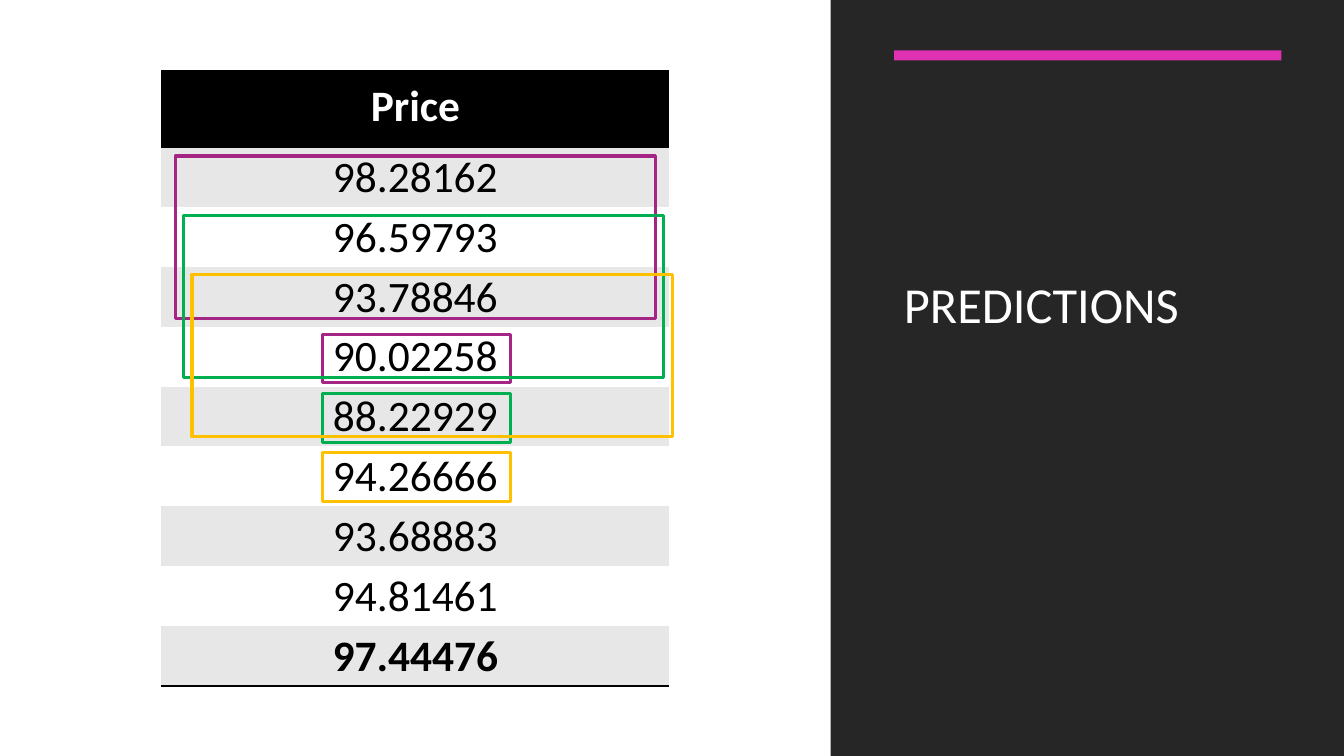
from collections import namedtuple
from dataclasses import dataclass

from lxml.etree import SubElement
from pptx import Presentation
from pptx.dml.color import RGBColor
from pptx.enum.shapes import MSO_SHAPE
from pptx.enum.text import MSO_ANCHOR, PP_ALIGN
from pptx.oxml.ns import qn
from pptx.util import Pt

Box = namedtuple("Box", "left top width height")


@dataclass(frozen=True)
class Theme:
    font: str = "Calibri"
    title_size: float = 36
    table_size: float = 31
    border: float = 2
    outline: float = 2.25
    white: str = "FFFFFF"
    black: str = "000000"
    panel: str = "262626"
    accent: str = "DE32B3"
    band: str = "E7E7E7"
    windows: tuple = ("A42584", "00B050", "FFC000")


THEME = Theme()
PRICES = ("98.28162", "96.59793", "93.78846", "90.02258", "88.22929",
          "94.26666", "93.68883", "94.81461", "97.44476")
NO_STYLE = "{2D5ABB26-0587-4C30-8999-92F81FD0307C}"
HEADER_HEIGHT = 54


def apply(target, values):
    for name, value in values.items():
        setattr(target, name, value)


def write(text_frame, text, size, color, bold=False, align=PP_ALIGN.LEFT):
    paragraph = text_frame.paragraphs[0]
    paragraph.alignment = align
    run = paragraph.add_run()
    run.text = text
    apply(run.font, {"name": THEME.font, "size": Pt(size), "bold": bold})
    run.font.color.rgb = RGBColor.from_string(color)


def add_rectangle(slide, box, fill=None, line=None):
    shape = slide.shapes.add_shape(MSO_SHAPE.RECTANGLE, *map(Pt, box))
    shape.shadow.inherit = False
    if fill:
        shape.fill.solid()
        shape.fill.fore_color.rgb = RGBColor.from_string(fill)
    else:
        shape.fill.background()
    if line:
        shape.line.width = Pt(THEME.outline)
        shape.line.color.rgb = RGBColor.from_string(line)
    else:
        shape.line.fill.background()


def add_borders(cell, *sides):
    properties = cell._tc.get_or_add_tcPr()
    for index, side in enumerate(sides):
        line = SubElement(properties, qn(f"a:ln{side}"), w=str(Pt(THEME.border)))
        fill = SubElement(line, qn("a:solidFill"))
        SubElement(fill, qn("a:srgbClr"), val=THEME.black)
        properties.insert(index, line)  # borders come before the fill


def add_title_panel(slide, box):
    add_rectangle(slide, box, fill=THEME.panel)
    left, width = box.left + 45.3, box.width - 90
    # Title
    title = slide.shapes.add_textbox(Pt(left), Pt(box.top + 67.7), Pt(width), Pt(297.4))
    apply(title.text_frame, {"word_wrap": True, "vertical_anchor": MSO_ANCHOR.MIDDLE})
    write(title.text_frame, "PREDICTIONS", THEME.title_size, THEME.white)
    # Accent bar
    add_rectangle(slide, Box(left, box.top + 36, width, 7.2), fill=THEME.accent)


def add_price_table(slide, box):
    frame = slide.shapes.add_table(len(PRICES) + 1, 1, *map(Pt, box))
    table = frame.table
    table._tbl.tblPr.find(qn("a:tableStyleId")).text = NO_STYLE
    row_height = (box.height - HEADER_HEIGHT) / len(PRICES)
    last = len(PRICES)
    for index, text in enumerate(("Price", *PRICES)):
        header = index == 0
        table.rows[index].height = Pt(HEADER_HEIGHT if header else row_height)
        cell = table.cell(index, 0)
        side, top, bottom = (12.2, 6.5, 6.5) if header else (0.7, 0.7, 0)
        apply(cell, {
            "margin_left": Pt(side), "margin_right": Pt(side),
            "margin_top": Pt(top), "margin_bottom": Pt(bottom),
            "vertical_anchor": MSO_ANCHOR.TOP if header else MSO_ANCHOR.MIDDLE,
        })
        cell.fill.solid()
        fill = THEME.black if header else THEME.band if index % 2 else THEME.white
        cell.fill.fore_color.rgb = RGBColor.from_string(fill)
        write(cell.text_frame, text, THEME.table_size,
              THEME.white if header else THEME.black,
              bold=index in (0, last), align=PP_ALIGN.CENTER)
    add_borders(table.cell(0, 0), "T", "B")
    add_borders(table.cell(last, 0), "B")


def add_sliding_windows(slide, box):
    """Frame three prices at a time, and the price that each three predict."""
    for index, color in enumerate(THEME.windows):
        down = box.top + index * 42.3
        add_rectangle(slide, Box(box.left + 10 + index * 6, down + 60.5, 343, 116),
                      line=color)
        add_rectangle(slide, Box(box.left + 115.2, down + 187.9, 134, 34.6), line=color)


def main():
    presentation = Presentation()
    apply(presentation, {"slide_width": Pt(960), "slide_height": Pt(540)})
    slide = presentation.slides.add_slide(presentation.slide_layouts[6])
    panel_left = 593.3
    add_rectangle(slide, Box(0, 0, panel_left, 540), fill=THEME.white)
    add_title_panel(slide, Box(panel_left, 0, 960 - panel_left, 540))
    table_box = Box(115.2, 51, 363, 439.2)
    add_price_table(slide, table_box)
    add_sliding_windows(slide, table_box)
    presentation.save("out.pptx")


if __name__ == "__main__":
    main()
